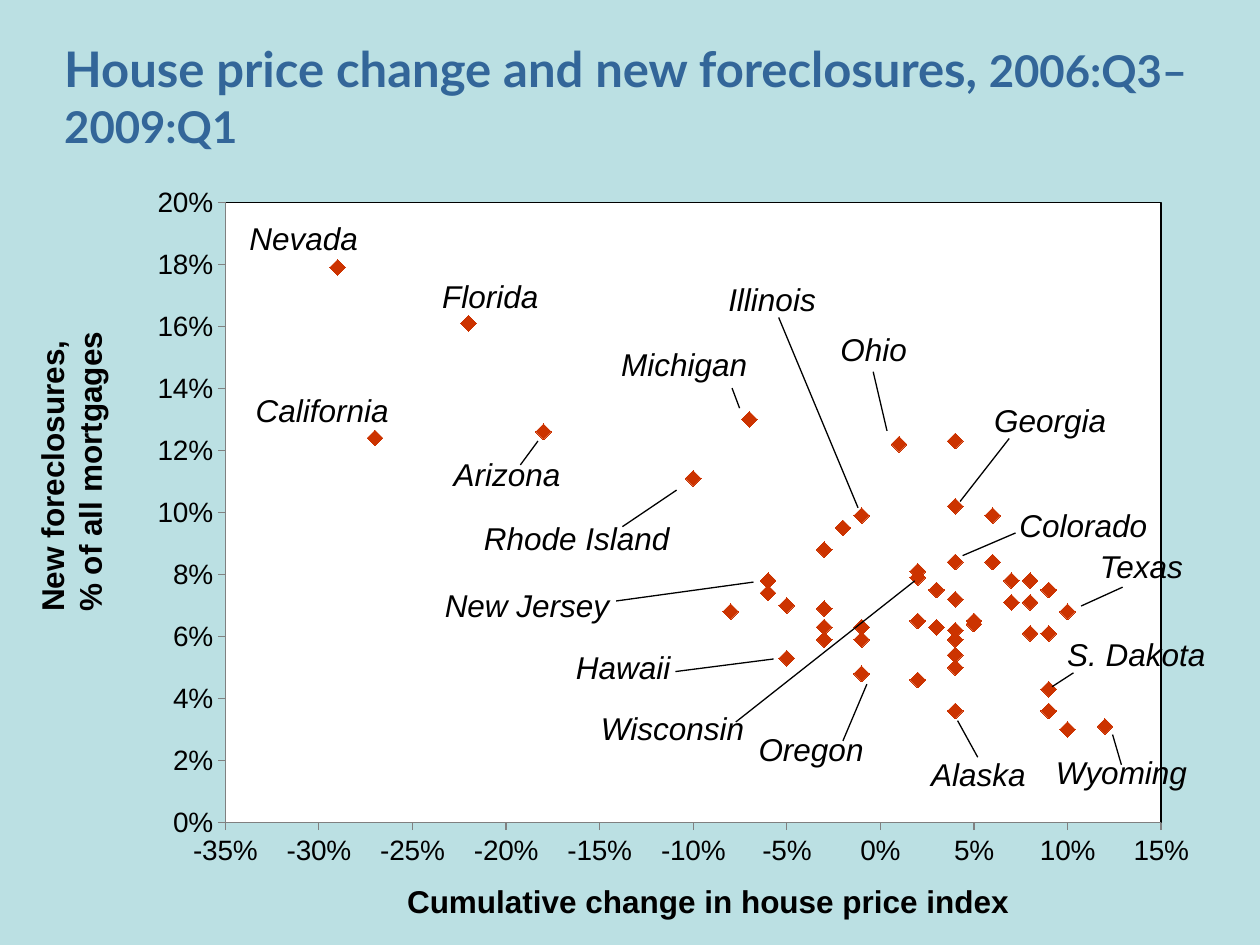
from pptx import Presentation
from pptx.chart.data import XyChartData
from pptx.dml.color import RGBColor
from pptx.enum.chart import (XL_AXIS_CROSSES, XL_CHART_TYPE, XL_MARKER_STYLE,
                             XL_TICK_LABEL_POSITION, XL_TICK_MARK)
from pptx.enum.shapes import MSO_CONNECTOR
from pptx.enum.text import MSO_ANCHOR, MSO_AUTO_SIZE, PP_ALIGN
from pptx.oxml import parse_xml
from pptx.oxml.ns import nsdecls, qn
from pptx.util import Inches, Pt

SCATTER = XL_CHART_TYPE.XY_SCATTER
DIAMOND = XL_MARKER_STYLE.DIAMOND
TICK_OUT, TICK_NONE = XL_TICK_MARK.OUTSIDE, XL_TICK_MARK.NONE
LABELS_LOW = XL_TICK_LABEL_POSITION.LOW
AT_MINIMUM = XL_AXIS_CROSSES.MINIMUM
STRAIGHT = MSO_CONNECTOR.STRAIGHT
LEFT, CENTER = PP_ALIGN.LEFT, PP_ALIGN.CENTER
MIDDLE = MSO_ANCHOR.MIDDLE
NO_AUTOFIT = MSO_AUTO_SIZE.NONE

# House price change and new foreclosures, both in percent
STATES = [
    (-29, 17.9), (-22, 16.1), (-7, 13.0), (-18, 12.6), (-27, 12.4), (4, 12.3),
    (1, 12.2), (-10, 11.1), (4, 10.2), (-1, 9.9), (6, 9.9), (-2, 9.5),
    (-3, 8.8), (4, 8.4), (6, 8.4), (2, 8.1), (2, 7.9), (8, 7.8), (-6, 7.8),
    (7, 7.8), (3, 7.5), (9, 7.5), (-6, 7.4), (4, 7.2), (8, 7.1), (7, 7.1),
    (-5, 7.0), (-3, 6.9), (10, 6.8), (-8, 6.8), (2, 6.5), (5, 6.5), (5, 6.4),
    (-1, 6.3), (3, 6.3), (-3, 6.3), (4, 6.2), (8, 6.1), (9, 6.1), (4, 5.9),
    (-1, 5.9), (-3, 5.9), (4, 5.4), (-5, 5.3), (4, 5.0), (-1, 4.8), (2, 4.6),
    (9, 4.3), (9, 3.6), (4, 3.6), (12, 3.1), (10, 3.0),
]

# State name, label (left, top, width), leader line (x1, y1, x2, y2)
CALLOUTS = [
    ("Nevada", (1.98, 1.74, 1.09), None),
    ("Florida", (3.51, 2.2, 0.96), None),
    ("California", (2.03, 3.1, 1.27), None),
    ("Arizona", (3.6, 3.61, 0.99), (4.13, 3.69, 4.27, 3.5)),
    ("Michigan", (4.93, 2.74, 1.17), (5.87, 3.24, 5.81, 3.08)),
    ("Rhode Island", (3.84, 4.12, 1.61), (4.94, 4.18, 5.37, 3.89)),
    ("New Jersey", (3.53, 4.65, 1.32), (4.89, 4.77, 5.98, 4.62)),
    ("Hawaii", (4.57, 5.14, 0.89), (5.36, 5.33, 6.14, 5.23)),
    ("Wisconsin", (4.77, 5.63, 1.27), (7.26, 4.61, 5.84, 5.73)),
    ("Oregon", (6.02, 5.79, 0.85), (6.88, 5.43, 6.69, 5.88)),
    ("Illinois", (5.78, 2.22, 0.81), (6.18, 2.52, 6.81, 4.03)),
    ("Ohio", (6.67, 2.62, 0.66), (7.04, 3.42, 6.93, 2.95)),
    ("Georgia", (7.89, 3.18, 1.27), (7.62, 3.98, 8.01, 3.48)),
    ("Colorado", (8.09, 4.02, 1.27), (7.64, 4.41, 8.06, 4.23)),
    ("Texas", (8.73, 4.34, 0.81), (8.58, 4.81, 8.91, 4.66)),
    ("S. Dakota", (8.47, 5.04, 1.27), (8.35, 5.45, 8.52, 5.34)),
    ("Alaska", (7.39, 5.99, 0.87), (7.6, 5.72, 7.76, 6.01)),
    ("Wyoming", (8.38, 5.98, 1.27), (8.83, 5.83, 8.9, 6.07)),
]


def color(hex_code):
    return RGBColor.from_string(hex_code)


class SlideBuilder:
    FONT, TITLE_FONT = "Arial", "Lato"
    INK, TITLE_INK, MARKER, AXIS = "000000", "336699", "CC3300", "808080"
    BACKGROUND, PLOT = "BBE0E3", "FFFFFF"

    def __init__(self, slide):
        self.slide = slide
        slide.background.fill.solid()
        slide.background.fill.fore_color.rgb = color(self.BACKGROUND)

    def set_font(self, font, size, bold=None, italic=None):
        font.name, font.size = self.FONT, Pt(size)
        font.bold, font.italic = bold, italic
        font.color.rgb = color(self.INK)

    def set_margins(self, frame):
        frame.margin_left = frame.margin_right = 0
        frame.margin_top = frame.margin_bottom = 0

    def title(self, parts, box):
        heading = self.slide.shapes.title
        heading.left, heading.top, heading.width, heading.height = map(Inches, box)
        frame = heading.text_frame
        self.set_margins(frame)
        frame.auto_size, frame.vertical_anchor = NO_AUTOFIT, MIDDLE
        paragraph = frame.paragraphs[0]
        paragraph.alignment, paragraph.line_spacing = LEFT, 1.05
        paragraph.font.name, paragraph.font.bold = self.TITLE_FONT, True
        paragraph.font.color.rgb = color(self.TITLE_INK)
        for text, size in parts:
            run = paragraph.add_run()
            run.text, run.font.size = text, Pt(size)

    def text(self, words, box, bold=None, italic=None, align=LEFT):
        label = self.slide.shapes.add_textbox(*map(Inches, box))
        frame = label.text_frame
        frame.word_wrap = True
        paragraph = frame.paragraphs[0]
        paragraph.text, paragraph.alignment = words, align
        self.set_font(paragraph.font, 18, bold, italic)
        return label

    def leader(self, ends):
        line = self.slide.shapes.add_connector(STRAIGHT, *map(Inches, ends))
        line.line.color.rgb = color(self.INK)
        line.line.width = Pt(0.75)
        line._element.spPr.append(parse_xml(f"<a:effectLst {nsdecls('a')}/>"))

    def callout(self, state, place, ends):
        label = self.text(state, (*place, 0.3), italic=True)
        self.set_margins(label.text_frame)
        if ends:
            self.leader(ends)

    def axis(self, axis, low, high, step):
        axis.minimum_scale, axis.maximum_scale, axis.major_unit = low, high, step
        axis.has_major_gridlines = axis.has_title = False
        axis.major_tick_mark, axis.minor_tick_mark = TICK_OUT, TICK_NONE
        axis.tick_label_position, axis.crosses = LABELS_LOW, AT_MINIMUM
        axis.tick_labels.number_format = "0%"
        axis.tick_labels.number_format_is_linked = False
        self.set_font(axis.tick_labels.font, 16)
        axis.format.line.color.rgb = color(self.AXIS)
        axis.format.line.width = Pt(0.75)

    def scatter(self, points, box, plot):
        data = XyChartData()
        states = data.add_series("Series 1")
        for price_change, foreclosures in points:
            states.add_data_point(price_change / 100, round(foreclosures / 100, 3))
        chart = self.slide.shapes.add_chart(SCATTER, *map(Inches, box), data).chart
        chart.has_legend = chart.has_title = False
        self.set_font(chart.font, 10)
        chart.plots[0].vary_by_categories = False
        self.axis(chart.category_axis, -0.35, 0.15, 0.05)
        self.axis(chart.value_axis, 0, 0.2, 0.02)

        # Diamonds without a joining line
        series = chart.plots[0].series[0]
        series.smooth = False
        series.format.line.fill.background()
        series.marker.style, series.marker.size = DIAMOND, 9
        series.marker.format.fill.solid()
        series.marker.format.fill.fore_color.rgb = color(self.MARKER)
        series.marker.format.line.color.rgb = color(self.MARKER)
        self.plot_area(chart, plot)

    def plot_area(self, chart, plot):
        area = chart._chartSpace.find(qn("c:chart")).find(qn("c:plotArea"))
        for old in area.findall(qn("c:layout")):
            area.remove(old)
        modes = "".join(f'<c:{side}Mode val="edge"/>' for side in "xy")
        sizes = "".join(f'<c:{side} val="{share}"/>' for side, share in zip("xywh", plot))
        area.insert(0, parse_xml(
            f'<c:layout {nsdecls("c")}><c:manualLayout><c:layoutTarget val="inner"/>'
            f"{modes}{sizes}</c:manualLayout></c:layout>"))
        area.append(parse_xml(
            f'<c:spPr {nsdecls("c", "a")}>'
            f'<a:solidFill><a:srgbClr val="{self.PLOT}"/></a:solidFill>'
            f'<a:ln w="{Pt(0.75)}"><a:solidFill><a:srgbClr val="{self.INK}"/>'
            f"</a:solidFill></a:ln></c:spPr>"))


def main():
    deck = Presentation()
    deck.slide_width, deck.slide_height = Inches(10), Inches(7.5)
    builder = SlideBuilder(deck.slides.add_slide(deck.slide_layouts[5]))

    # Title
    builder.title([("House price change and new foreclosures, ", 28),
                   ("2006:Q3–2009:Q1", 25)], (0.51, 0.26, 9.02, 0.97))

    # Chart and axis titles
    builder.scatter(STATES, (1.05, 1.41, 8.48, 5.59), (0.087, 0.035, 0.876, 0.881))
    foreclosures_title = builder.text("New foreclosures, \v% of all mortgages",
                                      (-0.67, 3.39, 2.47, 0.71), bold=True, align=CENTER)
    foreclosures_title.rotation = 270
    builder.text("Cumulative change in house price index",
                 (3.01, 6.95, 5.22, 0.4), bold=True, align=CENTER)

    # State labels
    for state, place, ends in CALLOUTS:
        builder.callout(state, place, ends)

    deck.save("out.pptx")


if __name__ == "__main__":
    main()
